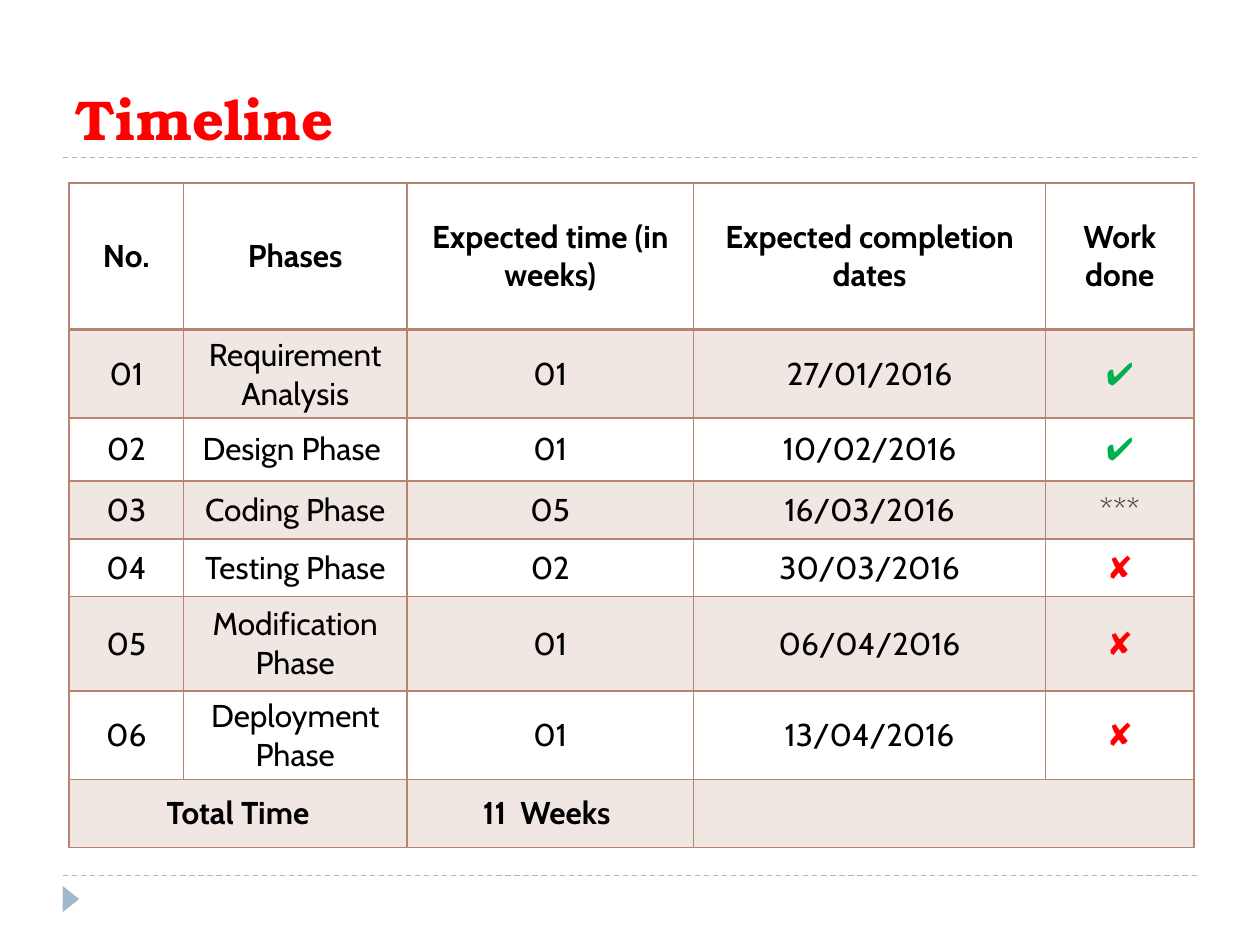
from dataclasses import dataclass

from lxml.etree import SubElement
from pptx import Presentation
from pptx.dml.color import RGBColor
from pptx.enum.dml import MSO_LINE
from pptx.enum.shapes import MSO_CONNECTOR, MSO_SHAPE
from pptx.enum.text import MSO_ANCHOR, PP_ALIGN
from pptx.oxml.ns import qn
from pptx.util import Pt

COLORS = {
    "title": "FF0000",
    "text": "000000",
    "done": "00B050",
    "ongoing": "473A35",
    "pending": "FF0000",
    "rule": "9FB8CD",
    "table": "B88472",
}
STATUS = {"✔": "done", "***": "ongoing", "✘": "pending"}
COL_WIDTHS = [65.5, 127.5, 164, 201, 85]
BAND_OPACITY = 20


@dataclass
class Row:
    height: float
    texts: list[str]
    bold: bool = False
    banded: bool = False
    bottom: float = 1


ROWS = [
    Row(84, ["No.", "Phases", "Expected time (in weeks)",
             "Expected completion dates", "Work done"], bold=True, bottom=2),
    Row(49, ["01", "Requirement Analysis", "01", "27/01/2016", "✔"], banded=True),
    Row(36, ["02", "Design Phase ", "01", "10/02/2016", "✔"]),
    Row(33, ["03", "Coding Phase", "05", "16/03/2016", "***"], banded=True),
    Row(33, ["04", "Testing Phase", "02", "30/03/2016", "✘"]),
    Row(54, ["05", "Modification Phase", "01", "06/04/2016", "✘"], banded=True),
    Row(49, ["06", "Deployment Phase", "01", "13/04/2016", "✘"]),
    Row(39, ["Total Time", "", "11  Weeks ", "", ""], bold=True, banded=True),
]


def rgb(name: str) -> RGBColor:
    return RGBColor.from_string(COLORS[name])


def format_runs(tf, font: str, size: float, color: str, bold: bool) -> None:
    for p in tf.paragraphs:
        for r in p.runs:
            r.font.name = font
            r.font.size = Pt(size)
            r.font.bold = bold
            r.font.color.rgb = rgb(color)


def draw_rule(s, y: float) -> None:
    line = s.shapes.add_connector(MSO_CONNECTOR.STRAIGHT, Pt(36), Pt(y), Pt(684), Pt(y))
    line.line.color.rgb = rgb("rule")
    line.line.width = Pt(0.75)
    line.line.dash_style = MSO_LINE.DASH
    SubElement(line._element.spPr, qn("a:effectLst"))


def draw_marker(s) -> None:
    sp = s.shapes.add_shape(MSO_SHAPE.ISOSCELES_TRIANGLE, Pt(33), Pt(509), Pt(15), Pt(9.5))
    sp.rotation = 90
    sp.shadow.inherit = False
    sp.fill.solid()
    sp.fill.fore_color.rgb = rgb("rule")
    sp.line.fill.background()


def draw_title(s, text: str) -> None:
    sp = s.shapes.add_textbox(Pt(36), Pt(12), Pt(648), Pt(78))
    tf = sp.text_frame
    tf.word_wrap = True
    tf.vertical_anchor = MSO_ANCHOR.BOTTOM
    tf.text = text
    format_runs(tf, "TeX Gyre Bonum", 32, "title", True)


def set_borders(cell, top: float, bottom: float) -> None:
    tc_pr = cell._tc.get_or_add_tcPr()
    for side, width in {"L": 1, "R": 1, "T": top, "B": bottom}.items():
        ln = SubElement(tc_pr, qn(f"a:ln{side}"), w=str(Pt(width)))
        fill = SubElement(ln, qn("a:solidFill"))
        SubElement(fill, qn("a:srgbClr"), val=COLORS["table"])


def set_fill(cell, banded: bool) -> None:
    if not banded:
        cell.fill.background()
        return
    cell.fill.solid()
    cell.fill.fore_color.rgb = rgb("table")
    clr = cell._tc.tcPr.find(qn("a:solidFill")).find(qn("a:srgbClr"))
    SubElement(clr, qn("a:alpha"), val=str(BAND_OPACITY * 1000))


def draw_cell(cell, text: str, row: Row, top: float) -> None:
    set_borders(cell, top, row.bottom)
    set_fill(cell, row.banded)
    cell.vertical_anchor = MSO_ANCHOR.MIDDLE
    tf = cell.text_frame
    tf.text = text
    tf.paragraphs[0].alignment = PP_ALIGN.CENTER
    format_runs(tf, "Cabin", 18, STATUS.get(text, "text"), row.bold)


def draw_table(s, rows: list[Row]) -> None:
    height = sum(row.height for row in rows)
    frame = s.shapes.add_table(len(rows), len(COL_WIDTHS), Pt(39.5), Pt(104.5),
                               Pt(sum(COL_WIDTHS)), Pt(height))
    table = frame.table
    table.first_row = False
    table.horz_banding = False
    for col, width in zip(table.columns, COL_WIDTHS):
        col.width = Pt(width)
    top = 1
    for i, row in enumerate(rows):
        table.rows[i].height = Pt(row.height)
        for j, text in enumerate(row.texts):
            draw_cell(table.cell(i, j), text, row, top)
        top = row.bottom
    last = len(rows) - 1
    for start, end in [(0, 1), (3, 4)]:
        table.cell(last, start).merge(table.cell(last, end))


def main() -> None:
    prs = Presentation()
    prs.slide_width, prs.slide_height = Pt(720), Pt(540)
    s = prs.slides.add_slide(prs.slide_layouts[6])
    for y in (500.5, 90):
        draw_rule(s, y)
    draw_marker(s)
    draw_title(s, "Timeline")
    draw_table(s, ROWS)
    prs.save("out.pptx")


if __name__ == "__main__":
    main()
